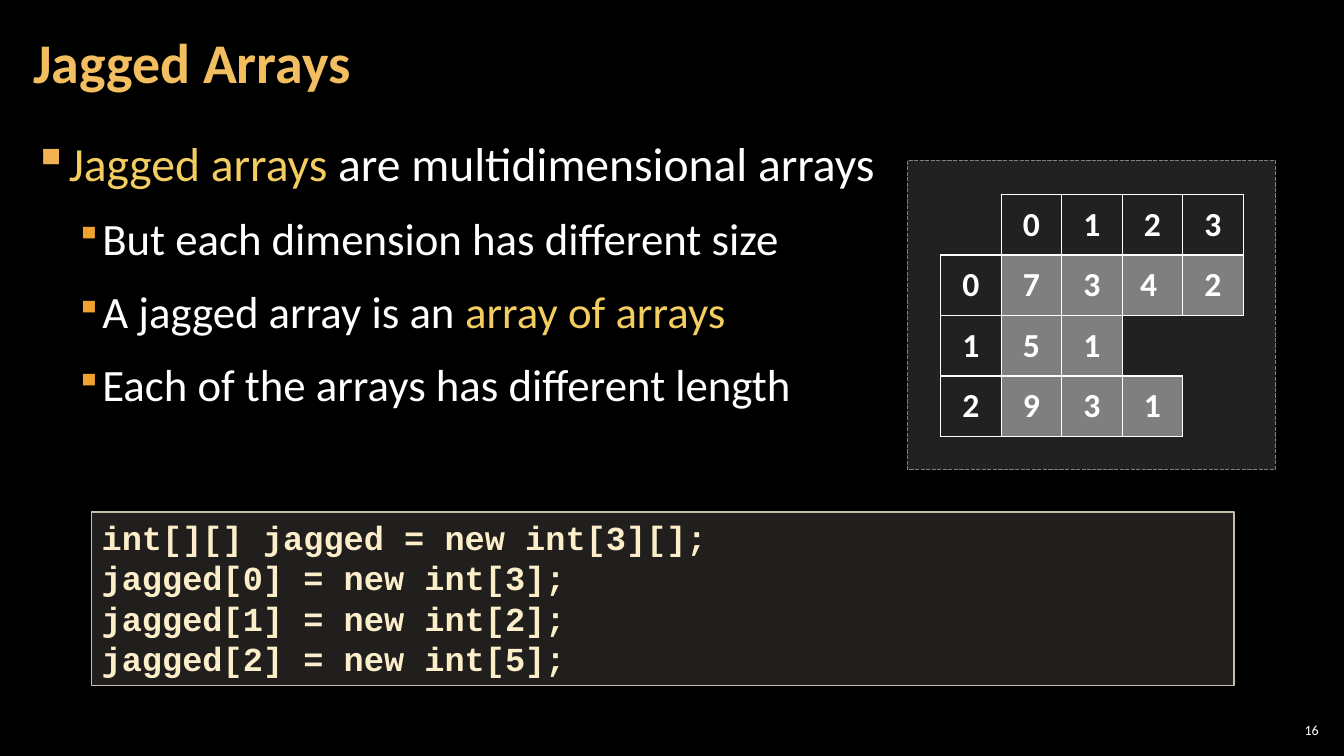
from lxml import etree
from pptx import Presentation
from pptx import util as u
from pptx.dml.color import RGBColor
from pptx.enum import dml, shapes, text
from pptx.oxml import ns

COLORS = {
    "background": "000000", "title": "F3BE60", "accent": "F3CD60", "white": "FFFFFF",
    "bullet": "F2B254", "sub_bullet": "F0A22E", "cell": "7F7F7F",
    "panel": "A6A6A6", "panel_line": "808080",
    "code_fill": "D9D5C7", "code_line": "C7BFAC", "code": "FBEEC9",
}
BULLETS = [
    (0, [("Jagged arrays ", "accent"), ("are multidimensional arrays", "white")]),
    (1, [("But each dimension has different size", "white")]),
    (1, [("A jagged array is an ", "white"), ("array of arrays", "accent")]),
    (1, [("Each of the arrays has different length", "white")]),
]
LEVELS = [(0.33, -0.33, 34, "bullet", 100), (0.67, -0.25, 32, "sub_bullet", 80)]
CODE = [
    "int[][] jagged = new int[3][];",
    "jagged[0] = new int[3];",
    "jagged[1] = new int[2];",
    "jagged[2] = new int[5];",
]
GRID = [
    ["", "0", "1", "2", "3"],
    ["0", "7", "3", "4 ", "2"],
    ["1", "5", "1", "", ""],
    ["2", "9", "3", "1", ""],
]
CELL_SIZE = 0.6
SIDES = {"lnL": (0, -1), "lnR": (0, 1), "lnT": (-1, 0), "lnB": (1, 0)}


def rgb(name):
    """Return the named colour."""
    return RGBColor.from_string(COLORS[name])


def box(*lengths):
    """Turn numbers into inch lengths."""
    return [u.Inches(n) for n in lengths]


def add_xml(parent, tag, **attrs):
    """Append a DrawingML element to its parent."""
    return etree.SubElement(parent, ns.qn("a:" + tag), attrs)


def set_font(font, size, color=None, bold=False, name="Calibri"):
    """Format a font."""
    font.name, font.size, font.bold = name, u.Pt(size), bold
    if color:
        font.color.rgb = rgb(color)


def set_frame(tf, insets, anchor):
    """Set wrapping, insets and anchor of a text frame."""
    tf.word_wrap = True
    tf.vertical_anchor = anchor
    tf.margin_left, tf.margin_top, tf.margin_right, tf.margin_bottom = box(*insets)


def add_title(s, title):
    """Place and format the slide title."""
    sp = s.shapes.title
    sp.left, sp.top, sp.width, sp.height = box(0.21, 0.04, 10.47, 1.21)
    set_frame(sp.text_frame, (0.12, 0.04, 0.12, 0.04), text.MSO_ANCHOR.MIDDLE)
    p = sp.text_frame.paragraphs[0]
    p.text, p.alignment, p.line_spacing = title, text.PP_ALIGN.LEFT, 0.9
    set_font(p.font, 40, "title", bold=True)


def add_bullets(s):
    """Add the two-level bullet list."""
    tf = s.shapes.add_textbox(*box(0.21, 1.26, 12.91, 6.09)).text_frame
    set_frame(tf, (0.12, 0.04, 0.12, 0.04), text.MSO_ANCHOR.TOP)
    for i, (level, runs) in enumerate(BULLETS):
        margin, indent, size, color, percent = LEVELS[level]
        p = tf.add_paragraph() if i else tf.paragraphs[0]
        p.level = level
        pPr = p._p.get_or_add_pPr()
        pPr.set("marL", str(u.Inches(margin)))
        pPr.set("indent", str(u.Inches(indent)))
        add_xml(add_xml(pPr, "buClr"), "srgbClr", val=COLORS[color])
        add_xml(pPr, "buSzPct", val=str(percent * 1000))
        add_xml(pPr, "buChar", char="▪")
        p.line_spacing, p.space_after = 1.05, u.Pt(6)
        p.space_before = u.Pt(6 if i else 0)
        set_font(p.font, size)
        for words, run_color in runs:
            r = p.add_run()
            r.text = words
            r.font.color.rgb = rgb(run_color)


def add_panel(s, lengths, fill, alpha, line):
    """Add a translucent outlined rectangle."""
    sp = s.shapes.add_shape(shapes.MSO_SHAPE.RECTANGLE, *box(*lengths))
    sp.shadow.inherit = False
    sp.fill.solid()
    sp.fill.fore_color.rgb = rgb(fill)
    color = sp._element.spPr.find(ns.qn("a:solidFill"))[0]
    add_xml(color, "alpha", val=str(alpha * 1000))
    sp.line.color.rgb = rgb(line)
    sp.line.width = u.Pt(1)
    return sp


def add_code(s):
    """Add the code listing."""
    sp = add_panel(s, (0.91, 5.08, 11.33, 1.72), "code_fill", 15, "code_line")
    tf = sp.text_frame
    set_frame(tf, (0.1, 0.05, 0.1, 0.05), text.MSO_ANCHOR.TOP)
    for i, line in enumerate(CODE):
        p = tf.add_paragraph() if i else tf.paragraphs[0]
        p.text, p.alignment = line, text.PP_ALIGN.LEFT
        set_font(p.font, 24, "code", bold=True, name="Courier New")


def has_text(row, col):
    """Tell whether the grid holds a value at this place."""
    return 0 <= row < len(GRID) and 0 <= col < len(GRID[0]) and GRID[row][col] != ""


def set_borders(cell, row, col):
    """Draw the sides that touch a cell with a value."""
    tcPr = cell._tc.get_or_add_tcPr()
    for side, (down, right) in SIDES.items():
        ln = add_xml(tcPr, side, w=str(u.Pt(1)))
        if has_text(row, col) or has_text(row + down, col + right):
            add_xml(add_xml(ln, "solidFill"), "srgbClr", val=COLORS["white"])
        else:
            add_xml(ln, "noFill")


def add_grid(s):
    """Add the table of the jagged array with its indices."""
    rows, cols = len(GRID), len(GRID[0])
    table = s.shapes.add_table(
        rows, cols, *box(9.33, 1.93, cols * CELL_SIZE, rows * CELL_SIZE)).table
    table.first_row = table.horz_banding = False
    for i, values in enumerate(GRID):
        for j, value in enumerate(values):
            cell = table.cell(i, j)
            set_borders(cell, i, j)
            if i and j and value:
                cell.fill.solid()
                cell.fill.fore_color.rgb = rgb("cell")
            else:
                cell.fill.background()
            cell.vertical_anchor = text.MSO_ANCHOR.MIDDLE
            p = cell.text_frame.paragraphs[0]
            p.text, p.alignment = value, text.PP_ALIGN.CENTER
            set_font(p.font, 24, "white", bold=True)


def add_page_number(s, number):
    """Add the slide number."""
    tf = s.shapes.add_textbox(*box(12.65, 7.14, 0.47, 0.21)).text_frame
    set_frame(tf, (0.04, 0.04, 0.04, 0.04), text.MSO_ANCHOR.MIDDLE)
    p = tf.paragraphs[0]
    p.text, p.alignment = number, text.PP_ALIGN.RIGHT
    set_font(p.font, 10, "white")


def main():
    """Build the slide and save it."""
    prs = Presentation()
    prs.slide_width, prs.slide_height = box(13.33, 7.5)
    s = prs.slides.add_slide(prs.slide_layouts[5])
    s.background.fill.solid()
    s.background.fill.fore_color.rgb = rgb("background")
    add_title(s, "Jagged Arrays")
    add_bullets(s)
    add_code(s)
    add_page_number(s, "16")
    panel = add_panel(s, (9, 1.59, 3.65, 3.07), "panel", 20, "panel_line")
    panel.line.dash_style = dml.MSO_LINE.SQUARE_DOT
    add_grid(s)
    prs.save("out.pptx")


if __name__ == "__main__":
    main()
